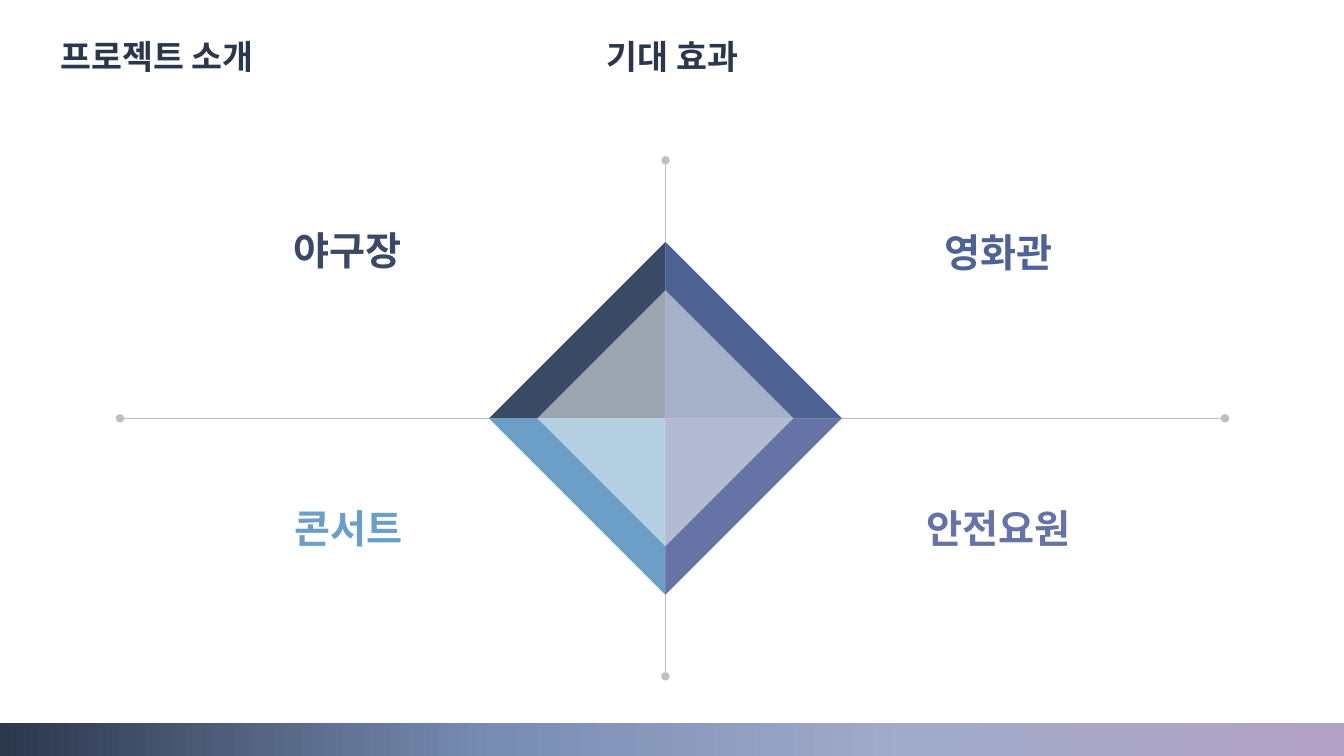
"""Build the expected-effects slide: a four-part diamond on crossed axes."""
from lxml import etree
from pptx import Presentation
from pptx.dml.color import RGBColor
from pptx.enum.shapes import MSO_CONNECTOR, MSO_SHAPE
from pptx.enum.text import MSO_ANCHOR, PP_ALIGN
from pptx.oxml.ns import qn
from pptx.util import Inches, Pt

LEFT, CENTER = PP_ALIGN.LEFT, PP_ALIGN.CENTER
MIDDLE = MSO_ANCHOR.MIDDLE
STRAIGHT = MSO_CONNECTOR.STRAIGHT
RECTANGLE, DIAMOND = MSO_SHAPE.RECTANGLE, MSO_SHAPE.DIAMOND
TRIANGLE = MSO_SHAPE.RIGHT_TRIANGLE

FONT = "Noto Sans CJK KR"
INK, AXIS_GRAY, WHITE = "2C374C", "BFBFBF", "FFFFFF"
FOOTER_STOPS = [(0, "2C374C"), (37, "798DB3"), (68, "A3ABCA"), (100, "B3A2C7")]

SECTION = ("프로젝트 소개", (0.5, 0.31, 7.9, 0.5), 24, INK, LEFT)
TITLE = ("기대 효과", (2.72, 0.31, 7.9, 0.5), 24, INK, CENTER)
QUADRANTS = [
    ("야구장", (1.67, 2.19, 3.55, 0.57), "3A4966", 0, 0),
    ("영화관", (7.98, 2.21, 3.84, 0.57), "4E6294", 1, 0),
    ("콘서트", (2.14, 4.95, 2.63, 0.57), "6B9FC7", 0, 1),
    ("안전요원", (8.59, 4.95, 2.63, 0.57), "6573A7", 1, 1),
]
CENTER_X, CENTER_Y = 6.6, 4.15
OUTER, INNER = 1.75, 1.27
AXES = [(1.19, CENTER_Y, 12.15, CENTER_Y), (CENTER_X, 1.59, CENTER_X, 6.71)]


def color(value):
    return RGBColor.from_string(value)


def add_block(shapes, kind, box, fill):
    shape = shapes.add_shape(kind, *map(Inches, box))
    shape.shadow.inherit = False
    shape.fill.solid()
    shape.fill.fore_color.rgb = color(fill)
    shape.line.fill.background()
    return shape


def add_gradient(shape, stops):
    shape.fill.gradient()
    shape.fill.gradient_angle = 0
    stop_list = shape._element.spPr.find(".//" + qn("a:gsLst"))
    for old_stop in list(stop_list):
        stop_list.remove(old_stop)
    for percent, value in stops:
        stop = etree.SubElement(stop_list, qn("a:gs"), pos=str(percent * 1000))
        etree.SubElement(stop, qn("a:srgbClr"), val=value)


def add_axis(shapes, ends):
    axis = shapes.add_connector(STRAIGHT, *map(Inches, ends))
    axis.line.color.rgb = color(AXIS_GRAY)
    axis.line.width = Pt(0.5)
    line = axis.line._get_or_add_ln()
    for end in ("a:headEnd", "a:tailEnd"):
        etree.SubElement(line, qn(end), type="oval")
    etree.SubElement(axis._element.spPr, qn("a:effectLst"))


def write(shape, text, box, size, ink, align):
    for name, value in zip(("left", "top", "width", "height"), box):
        setattr(shape, name, Inches(value))
    frame = shape.text_frame
    frame.word_wrap = True
    frame.vertical_anchor = MIDDLE
    margins = {"margin_left": 0.1, "margin_right": 0.1,
               "margin_top": 0.05, "margin_bottom": 0.05}
    for name, value in margins.items():
        setattr(frame, name, Inches(value))
    para = frame.paragraphs[0]
    para.alignment = align
    para.line_spacing = 1.0
    para.space_before = Pt(0)
    span = para.add_run()
    span.text = text
    for name, value in {"name": FONT, "size": Pt(size), "bold": True}.items():
        setattr(span.font, name, value)
    span.font.color.rgb = color(ink)
    etree.SubElement(span._r.get_or_add_rPr(), qn("a:ea"), typeface=FONT)


def add_diamond(shapes):
    diamond = shapes.add_group_shape().shapes
    for _, _, fill, column, row in QUADRANTS:
        box = (CENTER_X + (column - 1) * OUTER, CENTER_Y + (row - 1) * OUTER, OUTER, OUTER)
        corner = add_block(diamond, TRIANGLE, box, fill)
        frame = corner._element.spPr.xfrm
        frame.set("flipH", str(1 - column))
        frame.set("flipV", str(row))
    box = (CENTER_X - INNER, CENTER_Y - INNER, 2 * INNER, 2 * INNER)
    veil = add_block(diamond, DIAMOND, box, WHITE)
    tint = veil._element.spPr.find(".//" + qn("a:srgbClr"))
    etree.SubElement(tint, qn("a:alpha"), val="50000")


def main():
    deck = Presentation()
    deck.slide_width, deck.slide_height = Inches(13.33), Inches(7.5)
    page = deck.slides.add_slide(deck.slide_layouts[5])
    shapes = page.shapes

    footer = add_block(shapes, RECTANGLE, (0, 7.17, 13.33, 0.33), INK)
    add_gradient(footer, FOOTER_STOPS)
    for ends in AXES:
        add_axis(shapes, ends)
    add_diamond(shapes)

    write(shapes.title, *TITLE)
    labels = [(text, box, 28, ink, CENTER) for text, box, ink, _, _ in QUADRANTS]
    for label in [SECTION] + labels:
        write(shapes.add_textbox(0, 0, 0, 0), *label)
    deck.save("out.pptx")


if __name__ == "__main__":
    main()
